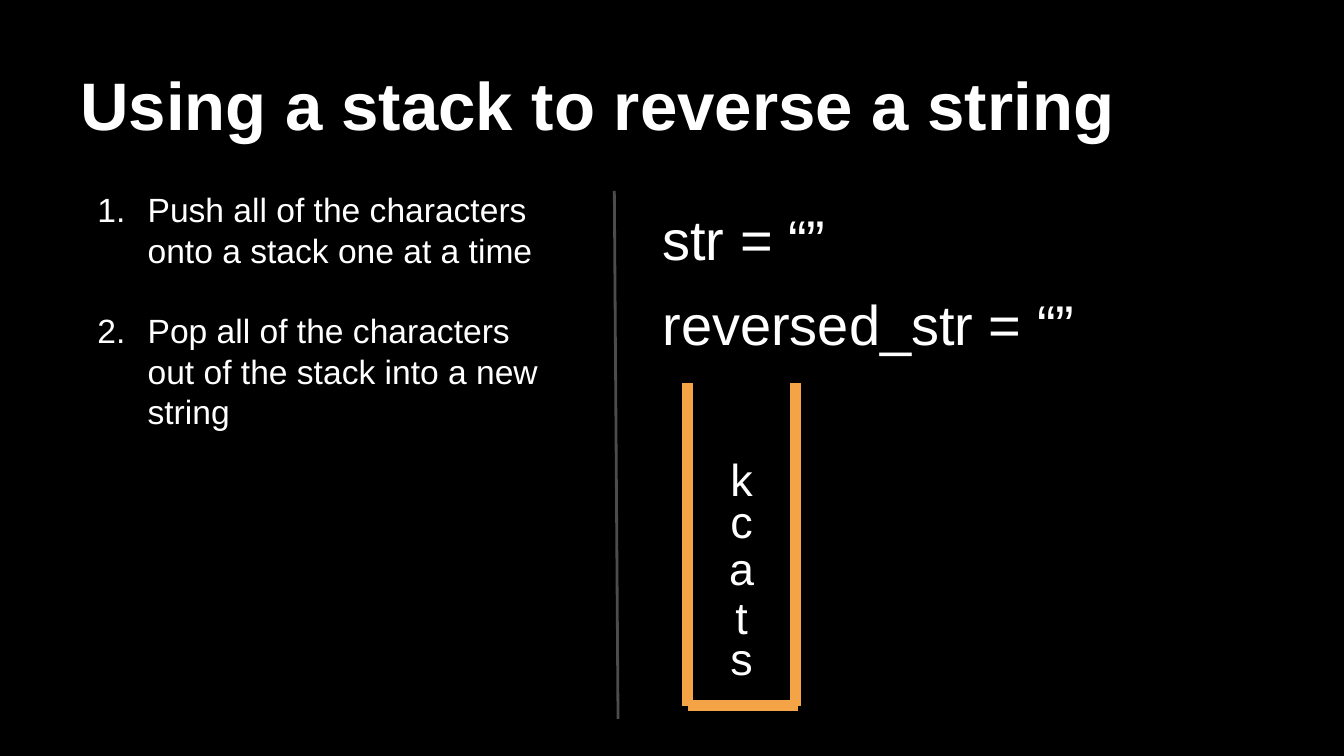
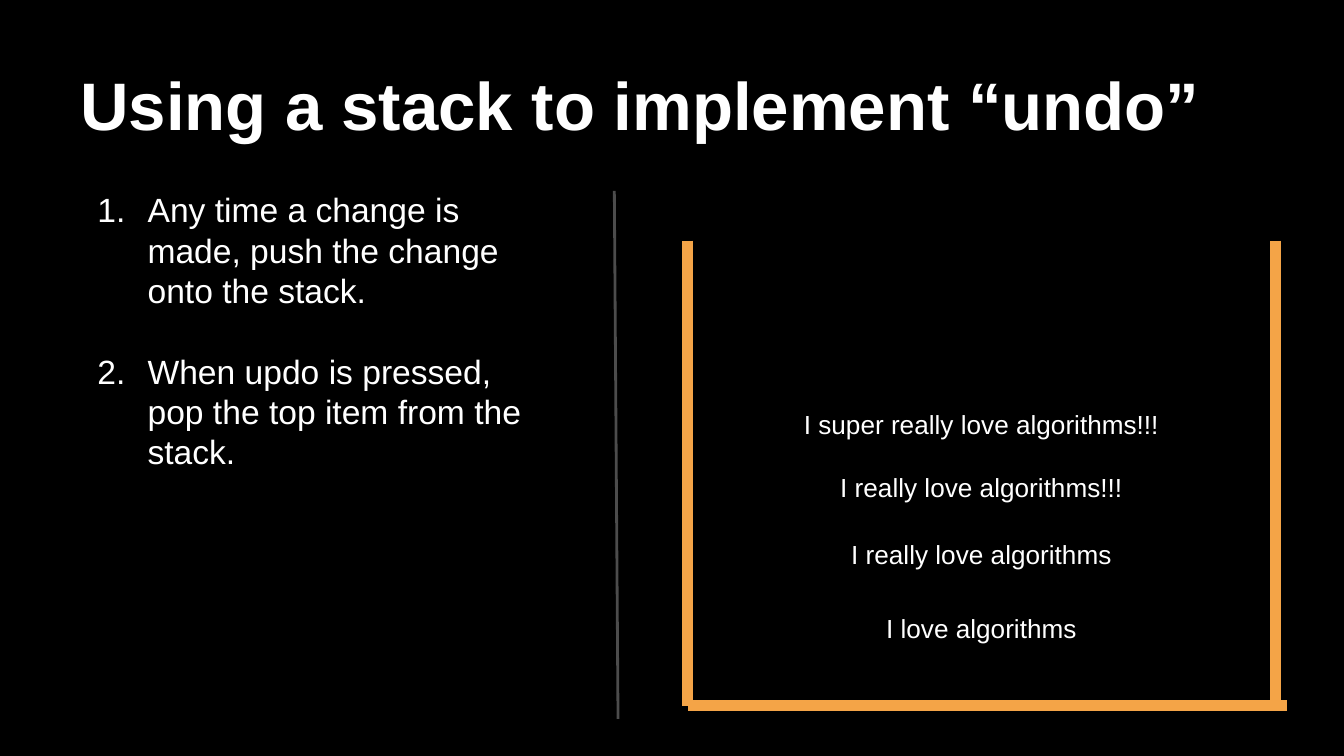
from lxml import etree
from pptx import Presentation
from pptx.dml.color import RGBColor
from pptx.enum.shapes import MSO_CONNECTOR
from pptx.enum.text import MSO_ANCHOR, MSO_AUTO_SIZE, PP_ALIGN
from pptx.oxml.ns import qn
from pptx.util import Cm, Pt

STRAIGHT = MSO_CONNECTOR.STRAIGHT
LEFT, CENTER = PP_ALIGN.LEFT, PP_ALIGN.CENTER
TOP, BOTTOM = MSO_ANCHOR.TOP, MSO_ANCHOR.BOTTOM
NO_FIT = MSO_AUTO_SIZE.NONE

BLACK, WHITE, GRAY, ORANGE = "000000", "FFFFFF", "4C4C4C", "F4A447"
FONT = "Arial"
INSET = Cm(0.25)

TITLE_BOX = (1.27, 0.58, 22.86, 2.39)
STEPS_BOX = (1.27, 3.33, 9.25, 10.34)
CODE_BOX = (12.27, 3.61, 13.36, 1.55)
CODE_PITCH = 1.62
DIVIDER = (11.61, 3.61, 11.68, 13.59)


def color(hex_string):
    return RGBColor.from_string(hex_string)


def set_attributes(target, values):
    for name, value in values.items():
        setattr(target, name, value)


def place(shape, box):
    set_attributes(shape, dict(zip(("left", "top", "width", "height"), map(Cm, box))))


def write(shape, lines, size, bold=False, align=LEFT, anchor=TOP):
    frame = shape.text_frame
    set_attributes(frame, {
        "word_wrap": True, "auto_size": NO_FIT, "vertical_anchor": anchor,
        "margin_left": INSET, "margin_right": INSET,
        "margin_top": INSET, "margin_bottom": INSET,
    })
    frame.text = "\n".join(lines)
    for paragraph in frame.paragraphs:
        set_attributes(paragraph, {"alignment": align, "space_before": Pt(0)})
        font = paragraph.runs[0].font
        set_attributes(font, {"name": FONT, "size": Pt(size), "bold": bold})
        font.color.rgb = color(WHITE)


def add_text(slide, box, text, size, align=LEFT):
    shape = slide.shapes.add_textbox(*map(Cm, box))
    write(shape, [text], size, align=align)


def add_line(shapes, ends, hex_string, width):
    line = shapes.add_connector(STRAIGHT, *map(Cm, ends))
    line.line.color.rgb = color(hex_string)
    line.line.width = Pt(width)
    etree.SubElement(line._element.spPr, qn("a:effectLst"))


def number_paragraph(paragraph):
    properties = paragraph._p.get_or_add_pPr()
    properties.set("marL", str(Cm(1.27)))
    properties.set("indent", str(-Cm(0.95)))
    bullet_color = etree.SubElement(properties, qn("a:buClr"))
    etree.SubElement(bullet_color, qn("a:srgbClr"), val=WHITE)
    etree.SubElement(properties, qn("a:buFont"), typeface=FONT)
    etree.SubElement(properties, qn("a:buAutoNum"), type="arabicPeriod")


def add_steps(shape, box, steps):
    place(shape, box)
    write(shape, steps, 18)
    for index, paragraph in enumerate(shape.text_frame.paragraphs):
        paragraph.line_spacing = Pt(21.6)
        paragraph.space_before = Pt(21.6 if index else 0)
        number_paragraph(paragraph)


def add_topic_slide(presentation, title, steps):
    slide = presentation.slides.add_slide(presentation.slide_layouts[1])
    place(slide.shapes.title, TITLE_BOX)
    write(slide.shapes.title, [title], 36, bold=True, anchor=BOTTOM)
    add_steps(slide.placeholders[1], STEPS_BOX, steps)
    add_line(slide.shapes, DIVIDER, GRAY, 1.5)
    return slide


def add_code(slide, box, lines):
    left, top, width, height = box
    for index, line in enumerate(lines):
        add_text(slide, (left, top + index * CODE_PITCH, width, height), line, 30)


def add_stack(slide, box, overhang, items, item_height, size):
    left, top, width, height = box
    right, bottom = left + width, top + height
    walls = slide.shapes.add_group_shape().shapes
    for x in (left, right):
        add_line(walls, (x, top, x, bottom), ORANGE, 6)
    add_line(walls, (left, bottom, right + overhang, bottom), ORANGE, 6)
    for text, offset in items:
        add_text(slide, (left, top + offset, width, item_height), text, size, CENTER)


def build_reverse_slide(presentation):
    slide = add_topic_slide(presentation, "Using a stack to reverse a string", [
        "Push all of the characters onto a stack one at a time",
        "Pop all of the characters out of the stack into a new string",
    ])
    letters = zip("stack", (4.44, 3.66, 2.74, 1.85, 1.04))
    add_stack(slide, (13, 7.24, 2.03, 6.1), 0.05, letters, 1.55, 24)
    add_code(slide, CODE_BOX, ["str = “”", "reversed_str = “”"])


def build_undo_slide(presentation):
    slide = add_topic_slide(presentation, "Using a stack to implement “undo”", [
        "Any time a change is made, push the change onto the stack.",
        "When updo is pressed, pop the top item from the stack.",
    ])
    changes = [
        ("I love algorithms", 6.78),
        ("I really love algorithms", 5.38),
        ("I really love algorithms!!!", 4.11),
        ("I super really love algorithms!!!", 2.92),
    ]
    add_stack(slide, (13, 4.55, 11.1, 8.79), 0.23, changes, 1.47, 14)


def main():
    presentation = Presentation()
    set_attributes(presentation, {"slide_width": Cm(25.4), "slide_height": Cm(14.29)})
    background = presentation.slide_master.background.fill
    background.solid()
    background.fore_color.rgb = color(BLACK)
    build_reverse_slide(presentation)
    build_undo_slide(presentation)
    presentation.save("out.pptx")


if __name__ == "__main__":
    main()
